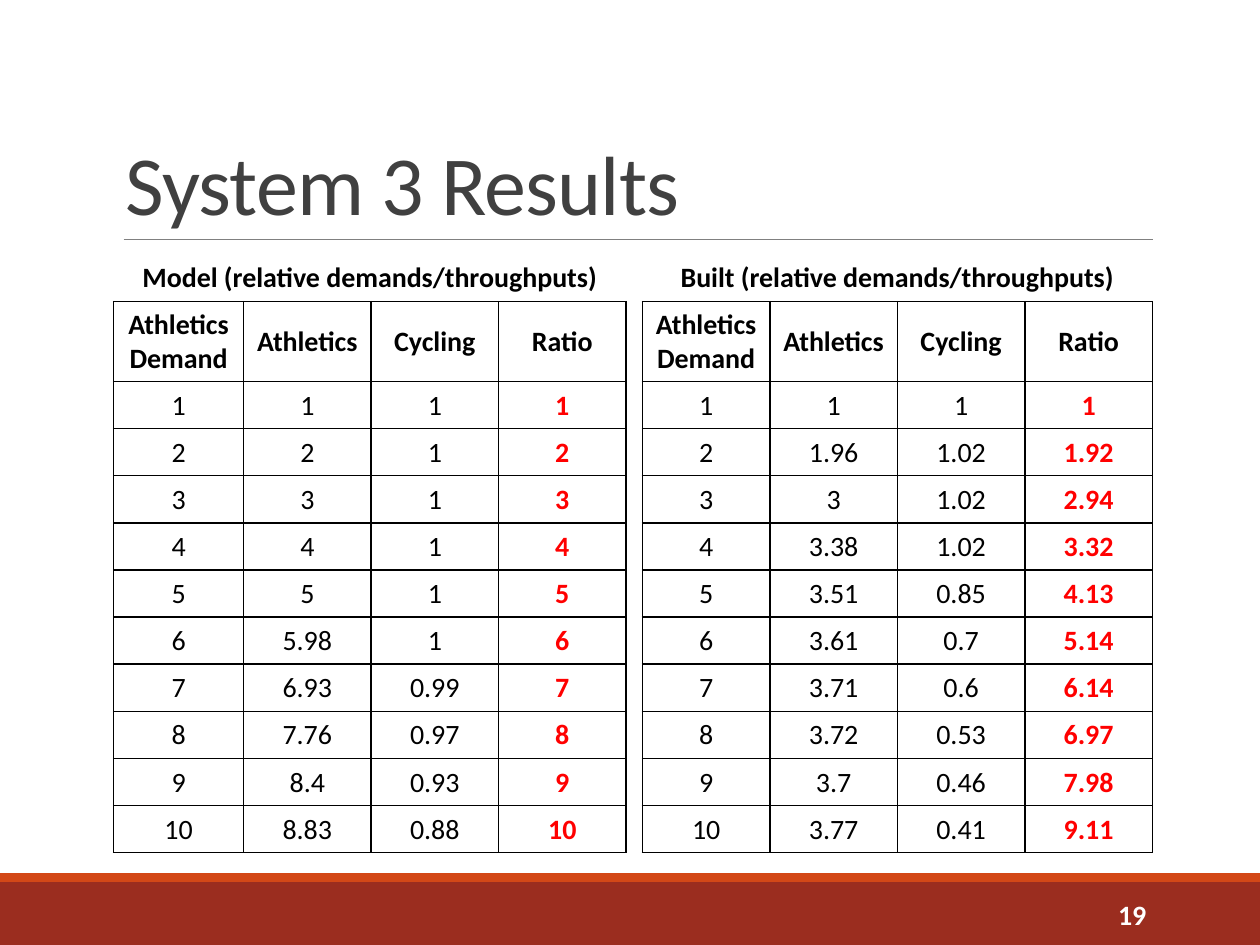
"""Build the System 3 results slide with its model and built tables."""
from lxml import etree
from pptx import Presentation
from pptx.dml.color import RGBColor
from pptx.enum.shapes import MSO_CONNECTOR, MSO_SHAPE
from pptx.enum.text import MSO_ANCHOR, PP_ALIGN
from pptx.oxml.ns import qn
from pptx.util import Cm, Pt

RECTANGLE = MSO_SHAPE.RECTANGLE
STRAIGHT = MSO_CONNECTOR.STRAIGHT
MIDDLE, BOTTOM = MSO_ANCHOR.MIDDLE, MSO_ANCHOR.BOTTOM
CENTER, LEFT, RIGHT = PP_ALIGN.CENTER, PP_ALIGN.LEFT, PP_ALIGN.RIGHT

FONT = "Calibri"
COLORS = {"title": "404040", "text": "000000", "ratio": "FF0000", "rule": "808080",
          "band": "9B2D1F", "stripe": "D34817", "number": "FFFFFF"}
TITLE = "System 3 Results"
SLIDE_NUMBER = "19"
HEADINGS = ("Athletics Demand", "Athletics", "Cycling", "Ratio")
BANDS = [("band", 17.78, 1.27), ("stripe", 17.6, 0.18)]
TABLES = [
    {"caption": "Model (relative demands/throughputs)", "left": 2.29,
     "widths": (2.62, 2.57, 2.57, 2.57),
     "rows": [("1", "1", "1", "1"), ("2", "2", "1", "2"), ("3", "3", "1", "3"),
              ("4", "4", "1", "4"), ("5", "5", "1", "5"), ("6", "5.98", "1", "6"),
              ("7", "6.93", "0.99", "7"), ("8", "7.76", "0.97", "8"),
              ("9", "8.4", "0.93", "9"), ("10", "8.83", "0.88", "10")]},
    {"caption": "Built (relative demands/throughputs)", "left": 12.95,
     "widths": (2.57, 2.57, 2.57, 2.57),
     "rows": [("1", "1", "1", "1"), ("2", "1.96", "1.02", "1.92"),
              ("3", "3", "1.02", "2.94"), ("4", "3.38", "1.02", "3.32"),
              ("5", "3.51", "0.85", "4.13"), ("6", "3.61", "0.7", "5.14"),
              ("7", "3.71", "0.6", "6.14"), ("8", "3.72", "0.53", "6.97"),
              ("9", "3.7", "0.46", "7.98"), ("10", "3.77", "0.41", "9.11")]},
]
TABLE_TOP, ROW_HEIGHT, HEADING_HEIGHT = 5.13, 0.95, 1.47


def color(name):
    return RGBColor.from_string(COLORS[name])


def write(paragraph, text, size, color_name, bold, alignment):
    paragraph.text = text
    paragraph.alignment = alignment
    paragraph.font.name = FONT
    paragraph.font.size = Pt(size)
    paragraph.font.bold = bold
    paragraph.font.color.rgb = color(color_name)


def add_text(slide, box, text, size, color_name, bold, alignment, anchor):
    shape = slide.shapes.add_textbox(*map(Cm, box))
    shape.text_frame.word_wrap = True
    shape.text_frame.vertical_anchor = anchor
    paragraph = shape.text_frame.paragraphs[0]
    write(paragraph, text, size, color_name, bold, alignment)
    return paragraph


def set_borders(cell, visible_sides):
    properties = cell._tc.get_or_add_tcPr()
    for side in "LRTB":
        line = etree.SubElement(properties, qn(f"a:ln{side}"), w=str(Pt(1)))
        if side in visible_sides:
            fill = etree.SubElement(line, qn("a:solidFill"))
            etree.SubElement(fill, qn("a:srgbClr"), val=COLORS["text"])
        else:
            etree.SubElement(line, qn("a:noFill"))


def add_results_table(slide, content):
    rows = [(content["caption"], "", "", ""), HEADINGS, *content["rows"]]
    heights = [ROW_HEIGHT, HEADING_HEIGHT] + [ROW_HEIGHT] * len(content["rows"])
    widths = content["widths"]
    table = slide.shapes.add_table(
        len(rows), len(widths), Cm(content["left"]), Cm(TABLE_TOP),
        Cm(sum(widths)), Cm(sum(heights))).table
    table.first_row = table.horz_banding = False
    for column, width in zip(table.columns, widths):
        column.width = Cm(width)
    for row_index, (values, height) in enumerate(zip(rows, heights)):
        table.rows[row_index].height = Cm(height)
        is_data = row_index > 1
        for column_index, value in enumerate(values):
            cell = table.cell(row_index, column_index)
            is_ratio = is_data and column_index == len(values) - 1
            write(cell.text_frame.paragraphs[0], value, 16,
                  "ratio" if is_ratio else "text", is_ratio or not is_data, CENTER)
            cell.vertical_anchor = MIDDLE
            if is_data:
                cell.margin_left = cell.margin_right = cell.margin_top = Cm(0.02)
                cell.margin_bottom = 0
            set_borders(cell, "LRTB" if row_index else "B")
            cell.fill.background()
    table.cell(0, 0).merge(table.cell(0, len(widths) - 1))


def main():
    presentation = Presentation()
    presentation.slide_width, presentation.slide_height = Cm(25.4), Cm(19.05)
    slide = presentation.slides.add_slide(presentation.slide_layouts[6])

    for name, top, height in BANDS:
        band = slide.shapes.add_shape(RECTANGLE, 0, Cm(top), Cm(25.4), Cm(height))
        band.shadow.inherit = False
        band.fill.solid()
        band.fill.fore_color.rgb = color(name)
        band.line.fill.background()

    rule = slide.shapes.add_connector(STRAIGHT, Cm(2.49), Cm(4.82), Cm(23.24), Cm(4.82))
    rule.line.color.rgb = color("rule")
    rule.line.width = Pt(0.5)
    etree.SubElement(rule._element.spPr, qn("a:effectLst"))

    title = add_text(slide, (2.29, 0.79, 20.95, 4.03), TITLE, 48, "title", False, LEFT, BOTTOM)
    title.line_spacing = 0.85
    title.runs[0]._r.get_or_add_rPr().set("spc", "-50")

    for content in TABLES:
        add_results_table(slide, content)
    add_text(slide, (20.62, 17.93, 2.74, 1.02), SLIDE_NUMBER, 16, "number", True, RIGHT, MIDDLE)
    presentation.save("out.pptx")


if __name__ == "__main__":
    main()
